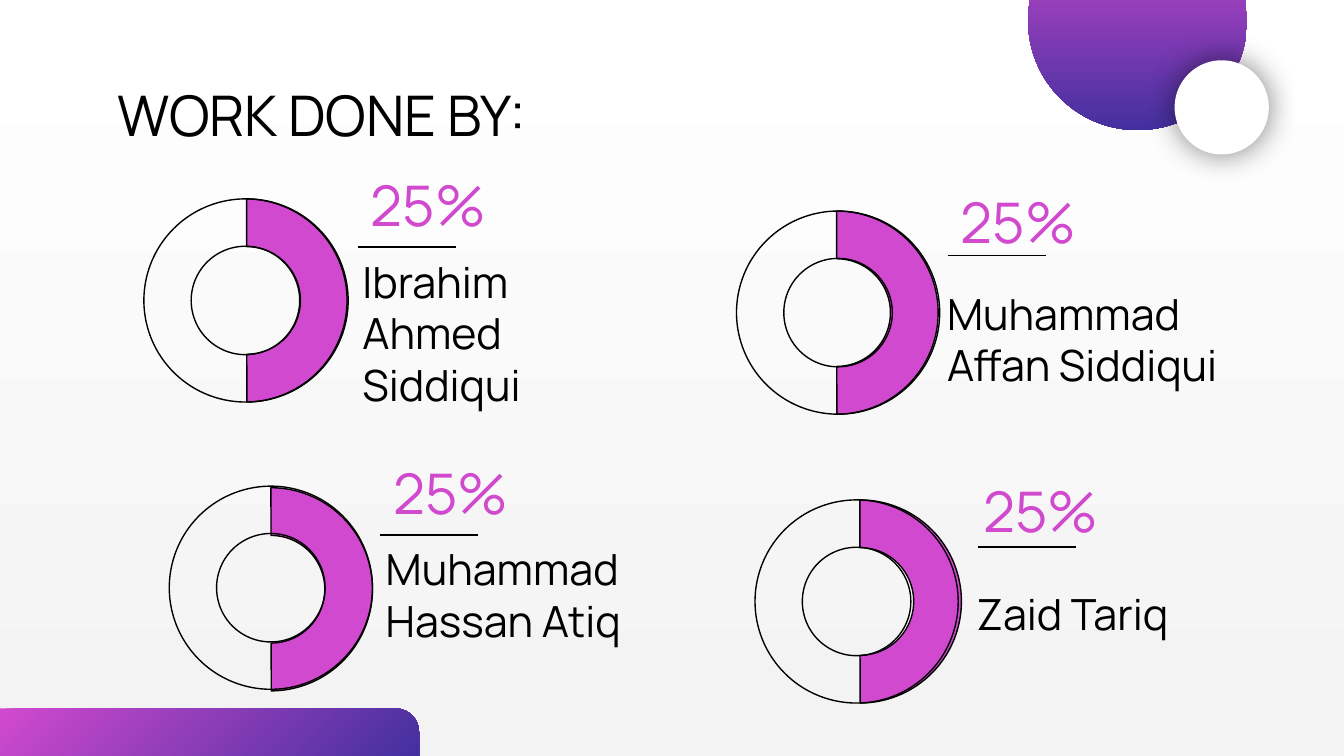
from dataclasses import dataclass

from lxml import etree
from pptx import Presentation
from pptx import util as u
from pptx.dml.color import RGBColor
from pptx.enum import shapes, text
from pptx.oxml import ns

Kind = shapes.MSO_SHAPE


@dataclass(frozen=True)
class Theme:
    font: str = "Manrope"
    ink: str = "000000"
    white: str = "FFFFFF"
    mist: str = "F3F3F3"
    pink: str = "D149CE"
    indigo: str = "43309F"
    heading_size: float = 30
    name_size: float = 23
    line_width: float = 0.75


THEME = Theme()
RING = 3.84
INSET = 0.25


@dataclass(frozen=True)
class Member:
    """One share of the work; positions are (left, top) in cm."""
    name: str
    ring: tuple
    arc: tuple
    share: tuple
    rule: tuple
    label: tuple
    label_width: float
    label_bottom: float = INSET


MEMBERS = [
    Member("Ibrahim Ahmed Siddiqui", (2.72, 3.76), (2.74, 3.76),
           (6.76, 3.2), (6.76, 4.67), (6.6, 4.83), 4.34),
    Member("Muhammad Affan Siddiqui", (13.92, 3.99), (13.89, 3.99),
           (17.91, 3.53), (17.91, 4.83), (17.65, 4.95), 5.74),
    Member("Muhammad Hassan Atiq", (3.2, 9.19), (3.2, 9.22),
           (7.19, 8.64), (7.19, 10.11), (7.04, 10.26), 5.97, 1.22),
    Member("Zaid Tariq", (14.27, 9.45), (14.33, 9.45),
           (18.34, 8.99), (18.49, 10.34), (18.21, 10.13), 5.74),
]


def rgb(colour):
    return RGBColor.from_string(colour)


def fill_gradient(fill, start, end, clockwise):
    fill.gradient()
    fill.gradient_angle = 360 - clockwise
    for stop, colour in zip(fill.gradient_stops, (start, end)):
        stop.color.rgb = rgb(colour)


def set_line(line):
    line.color.rgb = rgb(THEME.ink)
    line.width = u.Pt(THEME.line_width)


def add_figure(slide, kind, at, width, height, colour=None, outlined=False,
               adjustments=()):
    figure = slide.shapes.add_shape(kind, *map(u.Cm, (*at, width, height)))
    figure.shadow.inherit = False
    for index, value in enumerate(adjustments):
        figure.adjustments[index] = value
    if colour:
        figure.fill.solid()
        figure.fill.fore_color.rgb = rgb(colour)
    else:
        figure.fill.background()
    if outlined:
        set_line(figure.line)
    else:
        figure.line.fill.background()
    return figure


def add_words(slide, words, at, width, height, size, colour, bottom=INSET):
    box = slide.shapes.add_textbox(*map(u.Cm, (*at, width, height)))
    frame = box.text_frame
    frame.word_wrap = True
    frame.vertical_anchor = text.MSO_ANCHOR.MIDDLE
    frame.margin_left = frame.margin_right = frame.margin_top = u.Cm(INSET)
    frame.margin_bottom = u.Cm(bottom)
    run = frame.paragraphs[0].add_run()
    run.text = words
    run.font.name = THEME.font
    run.font.size = u.Pt(size)
    run.font.color.rgb = rgb(colour)


def add_rule(slide, at, length):
    left, top = at
    rule = slide.shapes.add_connector(
        shapes.MSO_CONNECTOR.STRAIGHT,
        *map(u.Cm, (left, top, left + length, top)))
    set_line(rule.line)
    etree.SubElement(rule._element.spPr, ns.qn("a:effectLst"))


def add_glow_shadow(figure, blur, opacity):
    effects = figure._element.spPr.find(ns.qn("a:effectLst"))
    shadow = etree.SubElement(effects, ns.qn("a:outerShdw"),
                              blurRad=str(u.Pt(blur)), dist="0", dir="0",
                              algn="ctr", rotWithShape="0")
    colour = etree.SubElement(shadow, ns.qn("a:srgbClr"), val=THEME.ink)
    etree.SubElement(colour, ns.qn("a:alpha"), val=str(opacity * 1000))


def add_decoration(slide):
    bar = add_figure(slide, Kind.ROUND_1_RECTANGLE, (0, 13.39), 7.92, 0.9,
                     adjustments=[0.5])
    fill_gradient(bar.fill, THEME.pink, THEME.indigo, 45)
    large_disc = add_figure(slide, Kind.OVAL, (19.43, -1.68), 4.14, 4.14)
    fill_gradient(large_disc.fill, THEME.pink, THEME.indigo, 90)
    small_disc = add_figure(slide, Kind.OVAL, (22.2, 1.14), 1.78, 1.78,
                            THEME.white)
    add_glow_shadow(small_disc, 16.9, 50)


def add_member(slide, member):
    # Ring with its filled half
    half = add_figure(slide, Kind.BLOCK_ARC, member.arc, RING, RING,
                      THEME.pink, True, [108, 215.892, 0.235])
    half.rotation = 90
    add_figure(slide, Kind.DONUT, member.ring, RING, RING, outlined=True,
               adjustments=[0.233])
    # Share, rule and name
    add_words(slide, "25%", member.share, 2.82, 1.32,
              THEME.heading_size, THEME.pink)
    add_rule(slide, member.rule, 1.85)
    add_words(slide, member.name, member.label, member.label_width, 2.92,
              THEME.name_size, THEME.ink, member.label_bottom)


def main():
    deck = Presentation()
    deck.slide_width, deck.slide_height = u.Cm(25.4), u.Cm(14.29)
    slide = deck.slides.add_slide(deck.slide_layouts[6])

    # Background and corner shapes
    fill_gradient(slide.background.fill, THEME.white, THEME.mist, 90)
    add_decoration(slide)

    # Heading and the four members
    add_words(slide, "WORK DONE BY:", (1.98, 1.5), 21.44, 1.32,
              THEME.heading_size, THEME.ink)
    for member in MEMBERS:
        add_member(slide, member)

    deck.save("out.pptx")


if __name__ == "__main__":
    main()
